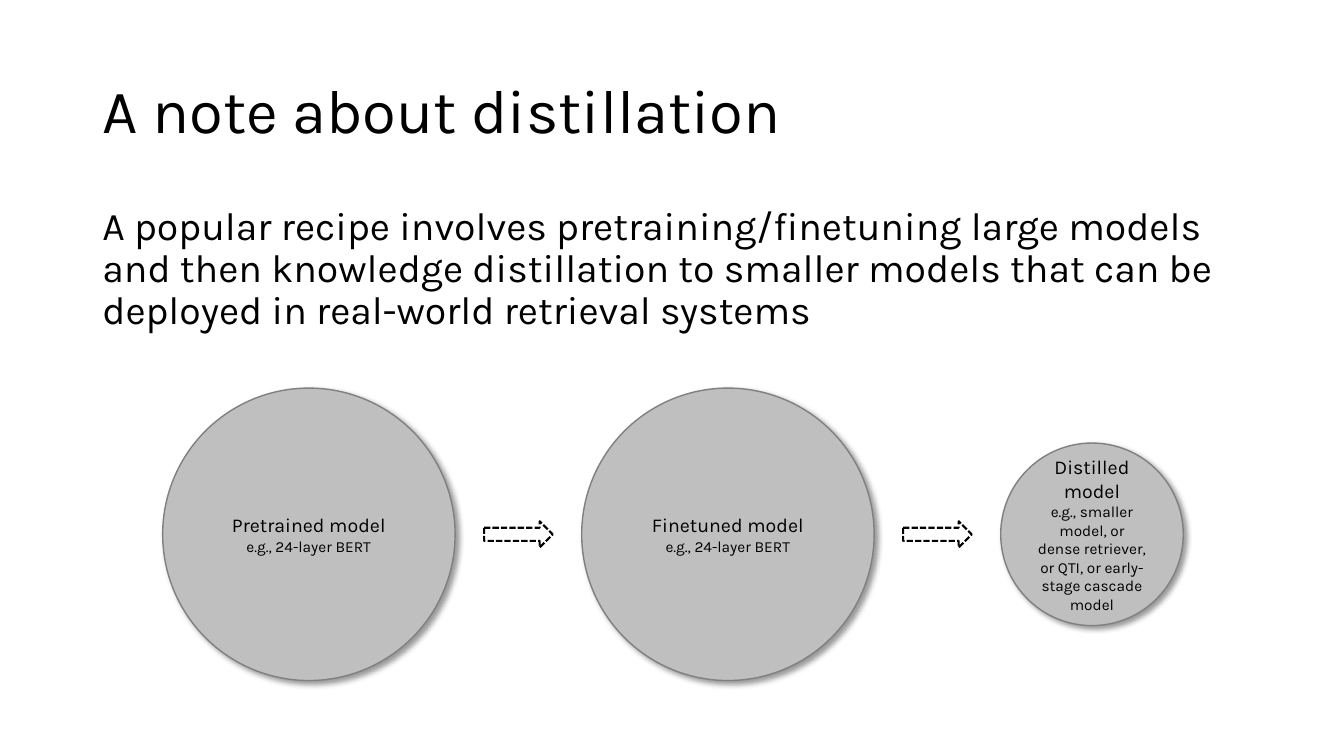
from lxml import etree
from pptx import Presentation
from pptx.dml.color import RGBColor
from pptx.enum import dml, shapes, text
from pptx.oxml import parse_xml
from pptx.oxml.ns import nsdecls
from pptx.util import Cm, Pt

BLACK = RGBColor(0x00, 0x00, 0x00)
WHITE = RGBColor(0xFF, 0xFF, 0xFF)
CIRCLE_FILL = RGBColor(0xBF, 0xBF, 0xBF)
CIRCLE_LINE = RGBColor(0x80, 0x80, 0x80)
FONT = "Karla"

LARGE, SMALL = Cm(7.37), Cm(4.6)
ARROW_WIDTH, ARROW_HEIGHT = Cm(1.73), Cm(0.66)
GAP = Cm(0.73)

MODELS = [
    ("Pretrained model", "e.g., 24-layer BERT", LARGE),
    ("Finetuned model", "e.g., 24-layer BERT", LARGE),
    ("Distilled model",
     "e.g., smaller model, or dense retriever, or QTI, or early-stage cascade model",
     SMALL),
]


def add_run(paragraph, wording, size):
    run = paragraph.add_run()
    run.text = wording
    run.font.name = FONT
    run.font.size = Pt(size)
    run.font.color.rgb = BLACK


def add_text(slide, box, wording, size, anchor):
    frame = slide.shapes.add_textbox(*box).text_frame
    frame.word_wrap = True
    frame.vertical_anchor = anchor
    paragraph = frame.paragraphs[0]
    paragraph.line_spacing = 0.9
    add_run(paragraph, wording, size)


def add_soft_shadow(shape):
    properties = shape._element.spPr
    for effects in properties.findall("{*}effectLst"):
        properties.remove(effects)
    properties.append(parse_xml(
        f'<a:effectLst {nsdecls("a")}>'
        f'<a:outerShdw blurRad="{Pt(4)}" dist="{Pt(3)}" dir="2700000" '
        'algn="tl" rotWithShape="0"><a:srgbClr val="000000">'
        '<a:alpha val="40000"/></a:srgbClr></a:outerShdw></a:effectLst>'))


def add_outlined_shape(slide, kind, box, fill, line, width):
    shape = slide.shapes.add_shape(kind, *box)
    shape.shadow.inherit = False
    shape.fill.solid()
    shape.fill.fore_color.rgb = fill
    shape.line.color.rgb = line
    shape.line.width = Pt(width)
    return shape


def add_model(slide, box, name, example):
    circle = add_outlined_shape(slide, shapes.MSO_SHAPE.OVAL, box,
                                CIRCLE_FILL, CIRCLE_LINE, 1)
    add_soft_shadow(circle)
    frame = circle.text_frame
    frame.word_wrap = True
    frame.vertical_anchor = text.MSO_ANCHOR.MIDDLE
    for paragraph, wording, size in (
            (frame.paragraphs[0], name, 14),
            (frame.add_paragraph(), example, 11)):
        paragraph.alignment = text.PP_ALIGN.CENTER
        add_run(paragraph, wording, size)


def add_model_flow(slide, left, top, height):
    """Place the circles in a row, centred vertically, with arrows between."""
    middle = top + height // 2
    for index, (name, example, diameter) in enumerate(MODELS):
        if index:
            left += GAP
            box = (left, middle - ARROW_HEIGHT // 2, ARROW_WIDTH, ARROW_HEIGHT)
            arrow = add_outlined_shape(slide, shapes.MSO_SHAPE.RIGHT_ARROW, box,
                                       WHITE, BLACK, 1.5)
            arrow.line.dash_style = dml.MSO_LINE.SQUARE_DOT
            left += ARROW_WIDTH + GAP
        add_model(slide, (left, middle - diameter // 2, diameter, diameter),
                  name, example)
        left += diameter


def main():
    presentation = Presentation()
    presentation.slide_width = Cm(33.87)
    presentation.slide_height = Cm(19.05)
    slide = presentation.slides.add_slide(presentation.slide_layouts[6])
    add_text(slide, (Cm(2.33), Cm(1.01), Cm(29.21), Cm(3.68)),
             "A note about distillation", 44, text.MSO_ANCHOR.MIDDLE)
    add_text(slide, (Cm(2.33), Cm(5.07), Cm(29.21), Cm(4.19)),
             "A popular recipe involves pretraining/finetuning large models and "
             "then knowledge distillation to smaller models that can be deployed "
             "in real-world retrieval systems", 28, text.MSO_ANCHOR.TOP)
    add_model_flow(slide, Cm(4.1), Cm(9.78), LARGE)
    presentation.save("out.pptx")


if __name__ == "__main__":
    main()
